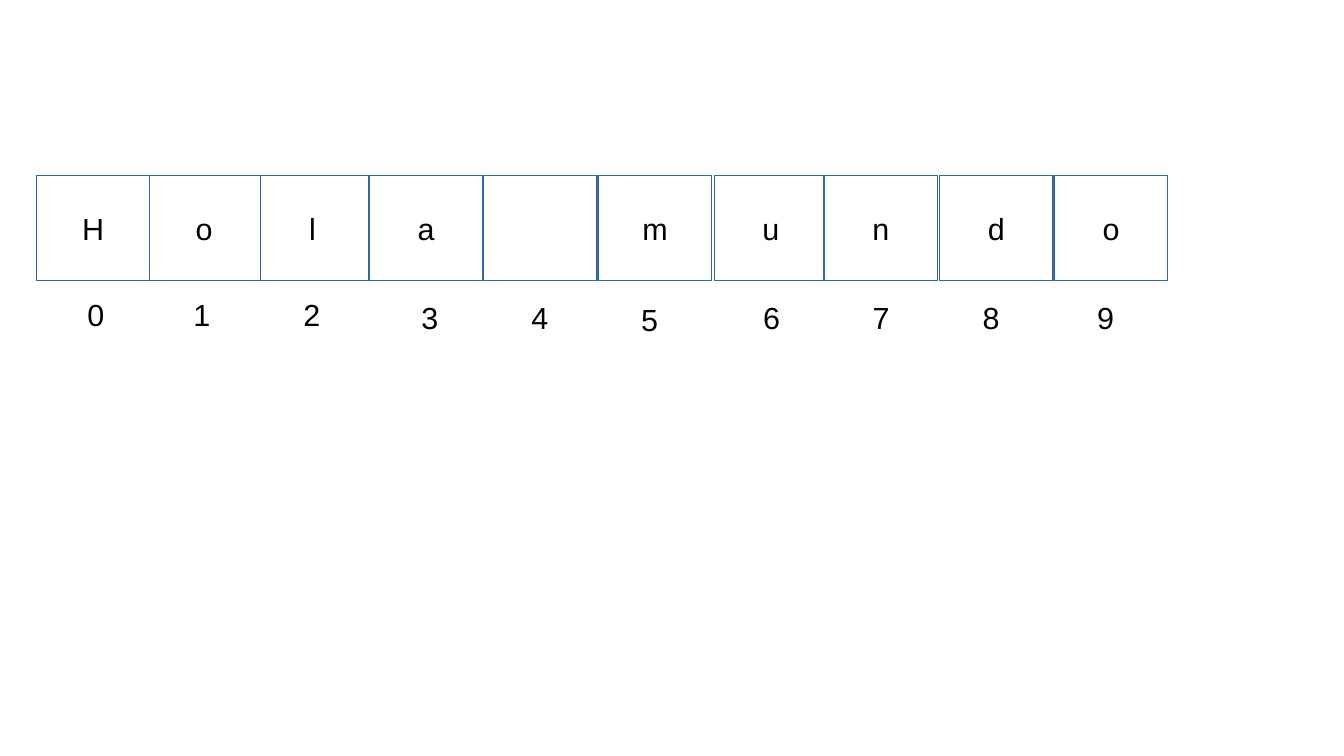
"""Draw the string "Hola mundo" as a row of boxes with an index under each letter."""
from pptx import Presentation
from pptx.dml.color import RGBColor
from pptx.enum.shapes import MSO_SHAPE
from pptx.enum.text import MSO_ANCHOR, MSO_AUTO_SIZE, PP_ALIGN
from pptx.util import Cm, Pt

CELLS = [
    ("H", 0.76, 1.57, 6.05),
    ("o", 3.07, 3.78, 6.05),
    ("l", 5.33, 6.07, 6.05),
    ("a", 7.7, 8.53, 6.1),
    ("", 10.08, 10.82, 6.1),
    ("m", 12.47, 13.11, 6.15),
    ("u", 14.88, 15.65, 6.1),
    ("n", 17.17, 17.93, 6.1),
    ("d", 19.58, 20.22, 6.1),
    ("o", 21.97, 22.61, 6.1),
]
BOX_TOP, BOX_WIDTH, BOX_HEIGHT = 3.66, 2.36, 2.18
TAG_WIDTH, TAG_HEIGHT = 0.86, 0.97

THEME = {
    "font": "Arial",
    "size": Pt(18),
    "ink": RGBColor(0, 0, 0),
    "fill": RGBColor(255, 255, 255),
    "line": RGBColor(0x34, 0x65, 0xA4),
}


def write(shape, text, align):
    frame = shape.text_frame
    frame.text = text
    frame.word_wrap = False
    para = frame.paragraphs[0]
    para.alignment = align
    for run in para.runs:
        run.font.name = THEME["font"]
        run.font.size = THEME["size"]
        run.font.color.rgb = THEME["ink"]
    return frame


def add_box(slide, letter, left):
    box = slide.shapes.add_shape(
        MSO_SHAPE.RECTANGLE, Cm(left), Cm(BOX_TOP), Cm(BOX_WIDTH), Cm(BOX_HEIGHT))
    box.shadow.inherit = False
    box.fill.solid()
    box.fill.fore_color.rgb = THEME["fill"]
    box.line.color.rgb = THEME["line"]
    box.line.width = Pt(0)
    write(box, letter, PP_ALIGN.CENTER).vertical_anchor = MSO_ANCHOR.MIDDLE


def add_tag(slide, index, left, top):
    tag = slide.shapes.add_textbox(Cm(left), Cm(top), Cm(TAG_WIDTH), Cm(TAG_HEIGHT))
    write(tag, str(index), PP_ALIGN.LEFT).auto_size = MSO_AUTO_SIZE.SHAPE_TO_FIT_TEXT


def main():
    deck = Presentation()
    deck.slide_width, deck.slide_height = Cm(28), Cm(15.75)
    slide = deck.slides.add_slide(deck.slide_layouts[6])
    for letter, left, _, _ in CELLS[2:] + CELLS[1::-1]:
        add_box(slide, letter, left)
    for index, (_, _, left, top) in enumerate(CELLS):
        add_tag(slide, index, left, top)
    deck.save("out.pptx")


if __name__ == "__main__":
    main()
